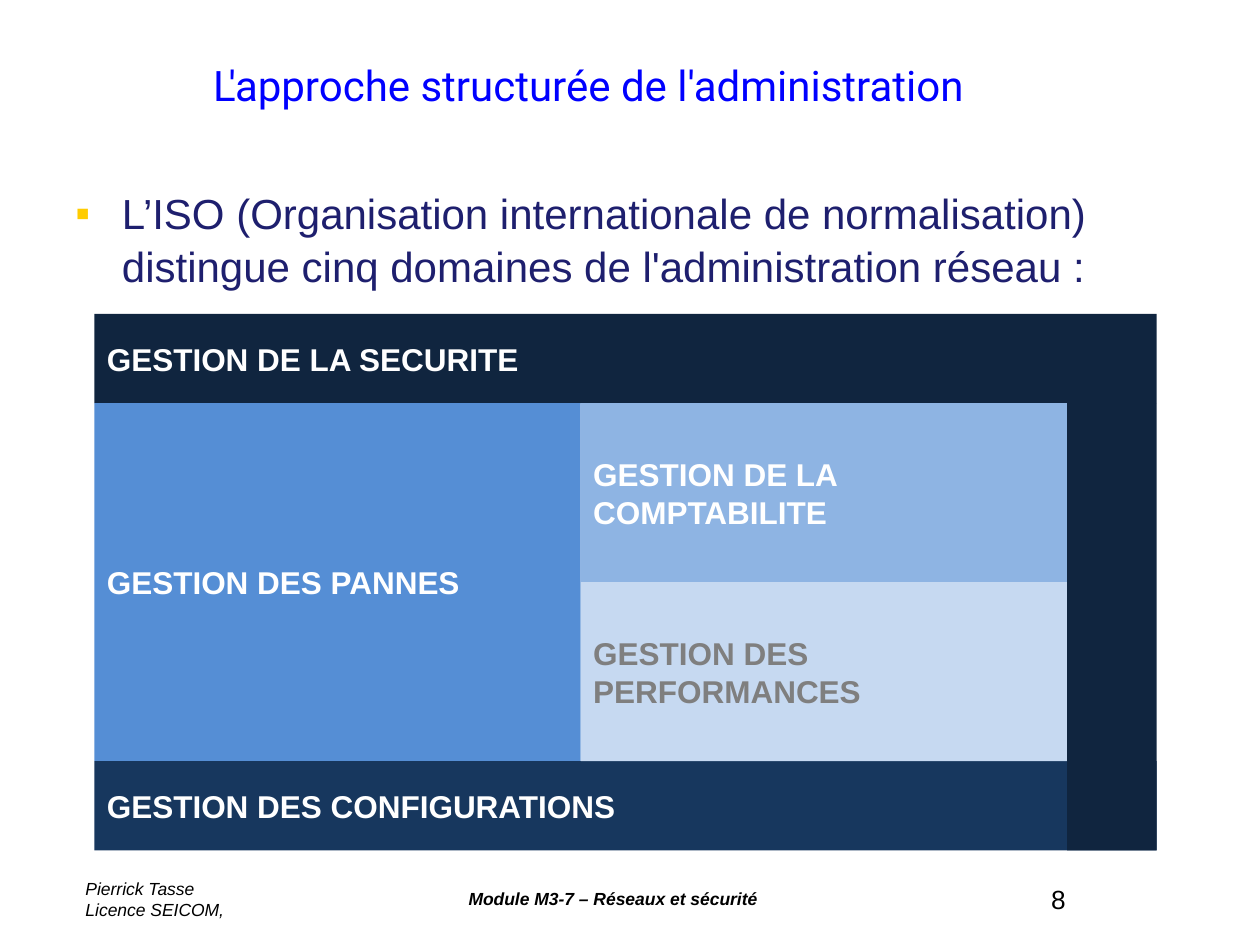
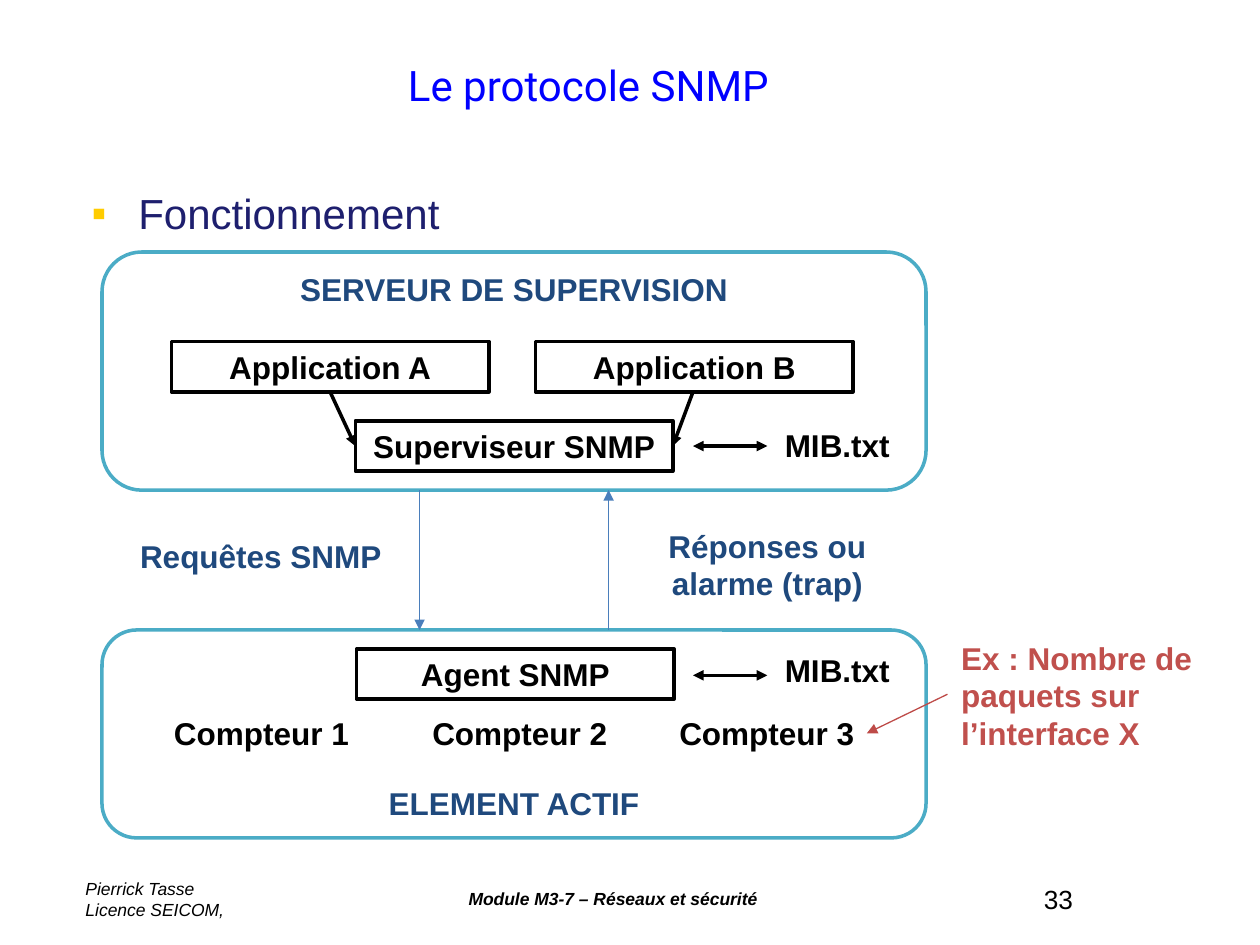
from dataclasses import dataclass

from lxml import etree
from pptx import Presentation
from pptx.dml.color import RGBColor
from pptx.enum.shapes import MSO_CONNECTOR, MSO_SHAPE
from pptx.enum.text import MSO_ANCHOR, PP_ALIGN
from pptx.oxml.ns import qn
from pptx.util import Inches, Pt

RECT, ROUNDED = MSO_SHAPE.RECTANGLE, MSO_SHAPE.ROUNDED_RECTANGLE
STRAIGHT = MSO_CONNECTOR.STRAIGHT
TOP, MIDDLE, BOTTOM = MSO_ANCHOR.TOP, MSO_ANCHOR.MIDDLE, MSO_ANCHOR.BOTTOM
LEFT, CENTER = PP_ALIGN.LEFT, PP_ALIGN.CENTER

BLACK = RGBColor(0x00, 0x00, 0x00)
WHITE = RGBColor(0xFF, 0xFF, 0xFF)
GREY = RGBColor(0x7F, 0x7F, 0x7F)
TITLE_BLUE = RGBColor(0x00, 0x00, 0xFF)
BODY_BLUE = RGBColor(0x1E, 0x1F, 0x6E)
BULLET_YELLOW = RGBColor(0xFF, 0xCC, 0x00)
SECURITY = RGBColor(0x10, 0x25, 0x3F)
CONFIGURATION = RGBColor(0x17, 0x37, 0x5E)
FAULTS = RGBColor(0x55, 0x8E, 0xD5)
ACCOUNTING = RGBColor(0x8E, 0xB4, 0xE3)
PERFORMANCE = RGBColor(0xC6, 0xD9, 0xF1)
ZONE_TEXT = RGBColor(0x1F, 0x49, 0x7D)
ZONE_LINE = RGBColor(0x4B, 0xAC, 0xC6)
FLOW_BLUE = RGBColor(0x4A, 0x7E, 0xBB)
NOTE_RED = RGBColor(0xC0, 0x50, 0x4D)
NOTE_LINE = RGBColor(0xBE, 0x4B, 0x48)


@dataclass(frozen=True)
class Box:
    x: float
    y: float
    w: float
    h: float

    def lengths(self) -> list:
        return [Inches(v) for v in (self.x, self.y, self.w, self.h)]


@dataclass(frozen=True)
class Domain:
    text: str
    box: Box
    fill: RGBColor
    color: RGBColor = WHITE


@dataclass(frozen=True)
class Zone:
    text: str
    box: Box
    anchor: MSO_ANCHOR


@dataclass(frozen=True)
class Label:
    text: str
    box: Box
    color: RGBColor = BLACK
    align: PP_ALIGN = CENTER
    inset: float = 0.05


@dataclass(frozen=True)
class Arrow:
    start: tuple[float, float]
    end: tuple[float, float]
    color: RGBColor = BLACK
    width: float = 2
    both_ways: bool = False


def write(sp, text: str, *, size: float = 18, color: RGBColor = BLACK, font: str = "Arial",
          bold: bool = False, italic: bool = False, align: PP_ALIGN = LEFT,
          anchor: MSO_ANCHOR = TOP, inset: float = 0.1) -> None:
    """Fill a shape with text, one paragraph for each line."""
    tf = sp.text_frame
    tf.word_wrap = True
    tf.vertical_anchor = anchor
    tf.margin_left = tf.margin_right = Inches(inset)
    tf.margin_top = tf.margin_bottom = Inches(0.05)
    tf.text = text
    for p in tf.paragraphs:
        p.alignment = align
        f = p.font
        f.name, f.size, f.bold, f.italic = font, Pt(size), bold, italic
        f.color.rgb = color
        for r in p.runs:
            r.font.name, r.font.size, r.font.bold, r.font.italic = font, Pt(size), bold, italic
            r.font.color.rgb = color


def add_text(s, text: str, box: Box, **style):
    sp = s.shapes.add_textbox(*box.lengths())
    write(sp, text, **style)
    return sp


def add_box(s, box: Box, fill: RGBColor, line: RGBColor | None = None, kind: MSO_SHAPE = RECT):
    sp = s.shapes.add_shape(kind, *box.lengths())
    sp.shadow.inherit = False
    sp.fill.solid()
    sp.fill.fore_color.rgb = fill
    if line is None:
        sp.line.fill.background()
    else:
        sp.line.color.rgb = line
        sp.line.width = Pt(2)
    return sp


def add_arrow(s, arrow: Arrow) -> None:
    ends = [Inches(v) for v in arrow.start + arrow.end]
    cx = s.shapes.add_connector(STRAIGHT, *ends)
    cx.line.color.rgb = arrow.color
    cx.line.width = Pt(arrow.width)
    ln = cx.line._get_or_add_ln()
    for tag in (["a:headEnd"] if arrow.both_ways else []) + ["a:tailEnd"]:
        etree.SubElement(ln, qn(tag), type="triangle")
    etree.SubElement(cx._element.spPr, qn("a:effectLst"))


def add_bullet(s, text: str, box: Box) -> None:
    p = add_text(s, text, box, size=24, color=BODY_BLUE).text_frame.paragraphs[0]
    p.line_spacing = 1.05
    pPr = p._p.get_or_add_pPr()
    pPr.set("marL", str(Inches(0.37)))
    pPr.set("indent", str(Inches(-0.37)))
    color = etree.Element(qn("a:buClr"))
    etree.SubElement(color, qn("a:srgbClr"), val=str(BULLET_YELLOW))
    font = etree.Element(qn("a:buFont"), typeface="Arial")
    char = etree.Element(qn("a:buChar"), char="▪")
    pPr.insert_element_before(color, "a:buFont", "a:buChar", "a:tabLst", "a:defRPr")
    color.addnext(font)
    font.addnext(char)


def add_slide(prs, title: str, number: int):
    """Add a blank slide with the shared title, footer and page number."""
    s = prs.slides.add_slide(prs.slide_layouts[6])
    add_text(s, "Pierrick Tasse\nLicence SEICOM,", Box(0.58, 6.92, 1.82, 0.44),
             size=10, italic=True)
    add_text(s, "Module M3-7 – Réseaux et sécurité", Box(3.62, 7, 3.09, 0.27),
             size=10, bold=True, italic=True)
    add_text(s, title, Box(0.42, 0.25, 8.5, 0.67), size=24, color=TITLE_BLUE,
             font="Roboto", align=CENTER, anchor=BOTTOM)
    add_text(s, str(number), Box(7.36, 6.81, 2.08, 0.5), size=15, align=CENTER, anchor=BOTTOM)
    return s


def build_domains(prs) -> None:
    s = add_slide(prs, "L'approche structurée de l'administration", 8)
    add_bullet(s, "L’ISO (Organisation internationale de normalisation) distingue cinq "
                  "domaines de l'administration réseau :", Box(0.5, 1.42, 8.94, 5.43))
    left, top, band, cell_w, cell_h = 0.75, 2.49, 0.71, 3.86, 1.42
    middle, right = left + cell_w, left + 2 * cell_w
    inner = top + band
    bottom = inner + 2 * cell_h
    width = 2 * cell_w + band
    domains = [
        Domain("GESTION DES CONFIGURATIONS", Box(left, bottom, width, band), CONFIGURATION),
        Domain("GESTION DE LA SECURITE", Box(left, top, width, band), SECURITY),
        Domain("GESTION DES PANNES", Box(left, inner, cell_w, 2 * cell_h), FAULTS),
        Domain("GESTION DE LA COMPTABILITE", Box(middle, inner, cell_w, cell_h), ACCOUNTING),
        Domain("GESTION DES PERFORMANCES", Box(middle, inner + cell_h, cell_w, cell_h),
               PERFORMANCE, GREY),
    ]
    for d in domains:
        write(add_box(s, d.box, d.fill), d.text, color=d.color, bold=True, anchor=MIDDLE)
    add_box(s, Box(right, inner, band, 2 * cell_h + band), SECURITY)


def build_snmp(prs) -> None:
    s = add_slide(prs, "Le protocole SNMP", 33)
    add_bullet(s, "Fonctionnement", Box(0.63, 1.42, 8.74, 5.28))

    zones = [
        Zone("SERVEUR DE SUPERVISION", Box(0.81, 2, 6.54, 1.89), TOP),
        Zone("ELEMENT ACTIF", Box(0.81, 5, 6.54, 1.65), BOTTOM),
    ]
    for z in zones:
        sp = add_box(s, z.box, WHITE, ZONE_LINE, ROUNDED)
        write(sp, z.text, color=ZONE_TEXT, bold=True, align=CENTER, anchor=z.anchor)

    node_w, row_h = 2.52, 0.4
    nodes = {
        "Superviseur SNMP": (2.82, 3.34),
        "Application A": (1.36, 2.71),
        "Application B": (4.25, 2.71),
        "Agent SNMP": (2.83, 5.15),
    }
    for text, (x, y) in nodes.items():
        sp = add_box(s, Box(x, y, node_w, row_h), WHITE, BLACK)
        write(sp, text, bold=True, align=CENTER)

    labels = [
        Label("Requêtes SNMP", Box(0.81, 4.21, node_w, row_h), ZONE_TEXT),
        Label("Réponses ou alarme (trap)", Box(4.83, 4.13, node_w, 0.7), ZONE_TEXT),
        Label("Ex : Nombre de paquets sur l’interface X", Box(7.53, 5.02, 2.47, 1),
              NOTE_RED, LEFT, 0.1),
    ]
    labels += [Label("MIB.txt", Box(6.1, y, 1.09, row_h)) for y in (3.33, 5.12)]
    labels += [Label(f"Compteur {i}", Box(x, 5.62, 1.59, row_h))
               for i, x in enumerate((1.28, 3.33, 5.29), 1)]
    for lb in labels:
        add_text(s, lb.text, lb.box, color=lb.color, bold=True, align=lb.align, inset=lb.inset)

    arrows = [
        Arrow((3.33, 3.89), (3.33, 5), FLOW_BLUE, 0.75),
        Arrow((4.83, 5), (4.83, 3.89), FLOW_BLUE, 0.75),
        Arrow((5.5, 3.11), (5.34, 3.54)),
        Arrow((2.62, 3.11), (2.82, 3.54)),
        Arrow((7.52, 5.51), (6.88, 5.82), NOTE_LINE, 0.75),
    ]
    arrows += [Arrow((5.5, y), (6.09, y), both_ways=True) for y in (3.54, 5.36)]
    for arrow in arrows:
        add_arrow(s, arrow)


def main() -> None:
    prs = Presentation()
    prs.slide_width, prs.slide_height = Inches(10), Inches(7.5)
    build_domains(prs)
    build_snmp(prs)
    prs.save("out.pptx")


if __name__ == "__main__":
    main()
